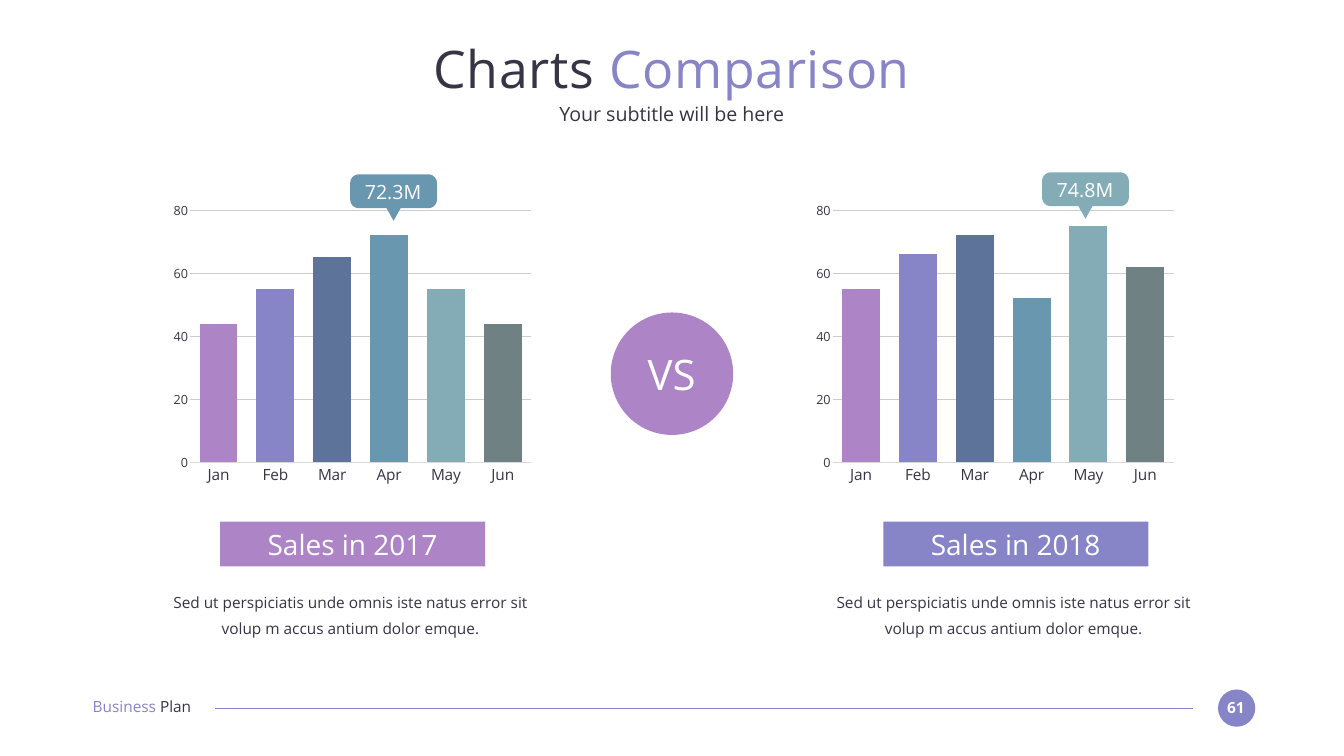
import math
from dataclasses import dataclass

import pptx
import pptx.chart.data
import pptx.dml.color
import pptx.enum.chart
import pptx.enum.shapes
import pptx.enum.text
import pptx.oxml
import pptx.oxml.ns
import pptx.util

Inches = pptx.util.Inches
Pt = pptx.util.Pt
Align = pptx.enum.text.PP_ALIGN
Shape = pptx.enum.shapes.MSO_SHAPE


@dataclass(frozen=True)
class Theme:
    font: str = "Open Sans"
    dark: str = "373545"
    white: str = "FFFFFF"
    grid: str = "CCCCCC"
    axis: str = "D9D9D9"
    bars: tuple = ("AD84C6", "8784C7", "5D739A", "6997AF", "84ACB6", "6F8183")
    title: int = 74
    versus: int = 60
    banner: int = 40
    lead: int = 28
    body: int = 22
    small: int = 18


THEME = Theme()
MAUVE, VIOLET = THEME.bars[:2]
MONTHS = ("Jan", "Feb", "Mar", "Apr", "May", "Jun")
BLURB = ("Sed ut perspiciatis unde omnis iste natus error sit "
         "volup m accus antium dolor emque.")


def rgb(value):
    return pptx.dml.color.RGBColor.from_string(value)


def style_font(font, size, color=THEME.dark, bold=False):
    font.name, font.size, font.bold = THEME.font, Pt(size), bold
    font.color.rgb = rgb(color)


def add_text(s, text, box, *, size, color=THEME.dark, align=Align.CENTER,
             bold=False, line_spacing=None, tracking=None):
    """Add a text box; text is a string or a list of (string, color) runs."""
    tf = s.shapes.add_textbox(*map(Inches, box)).text_frame
    tf.word_wrap = True
    tf.margin_left = tf.margin_right = tf.margin_top = tf.margin_bottom = 0
    p = tf.paragraphs[0]
    p.alignment = align
    if line_spacing:
        p.line_spacing = line_spacing
    for part, part_color in [(text, color)] if isinstance(text, str) else text:
        r = p.add_run()
        r.text = part
        style_font(r.font, size, part_color, bold)
        if tracking:
            r.font._element.set("spc", str(tracking))


def paint(sp, color):
    sp.shadow.inherit = False
    sp.fill.solid()
    sp.fill.fore_color.rgb = rgb(color)
    sp.line.fill.background()


def add_block(s, kind, box, color):
    paint(s.shapes.add_shape(kind, *map(Inches, box)), color)


def add_rule(s, x1, x2, y, color):
    line = s.shapes.add_connector(pptx.enum.shapes.MSO_CONNECTOR.STRAIGHT,
                                  Inches(x1), Inches(y), Inches(x2), Inches(y))
    line.line.color.rgb = rgb(color)
    line.line.width = Pt(1.5)
    line._element.spPr.append(pptx.oxml.parse_xml(
        "<a:effectLst %s/>" % pptx.oxml.ns.nsdecls("a")))


def add_callout(s, text, x, y, color):
    """Rounded label with a pointer below it."""
    w, h, radius, tip = 1.72, 0.67, 0.17, 0.25

    def corner(cx, cy, start):
        angles = [math.radians(start + step) for step in range(0, 91, 10)]
        return [(cx + radius * math.cos(a), cy + radius * math.sin(a))
                for a in angles]

    left, right = x + radius, x + w - radius
    top, bottom, mid = y + radius, y + h - radius, x + w / 2
    points = corner(left, top, 180) + corner(right, top, 270)
    points += corner(right, bottom, 0)
    points += [(mid + 0.14, y + h), (mid, y + h + tip), (mid - 0.14, y + h)]
    points += corner(left, bottom, 90)
    points = [(Inches(px), Inches(py)) for px, py in points]
    builder = s.shapes.build_freeform(*points[0])
    builder.add_line_segments(points[1:], close=True)
    paint(builder.convert_to_shape(), color)
    add_text(s, text, (x + 0.13, y + 0.11, 1.44, 0.47),
             size=THEME.lead, color=THEME.white)


def fix_plot_area(chart, x, y, w, h):
    """Pin the inner plot area, in fractions of the chart."""
    plot_area = chart._chartSpace.chart.plotArea
    for old in plot_area.findall(pptx.oxml.ns.qn("c:layout")):
        plot_area.remove(old)
    sizes = "".join('<c:%s val="%s"/>' % pair
                    for pair in zip("xywh", (x, y, w, h)))
    plot_area.insert(0, pptx.oxml.parse_xml(
        '<c:layout %s><c:manualLayout><c:layoutTarget val="inner"/>'
        '<c:xMode val="edge"/><c:yMode val="edge"/>%s'
        '</c:manualLayout></c:layout>' % (pptx.oxml.ns.nsdecls("c"), sizes)))


def add_bar_chart(s, values, x):
    data = pptx.chart.data.CategoryChartData()
    data.categories = MONTHS
    data.add_series("Series 1", values)
    chart = s.shapes.add_chart(
        pptx.enum.chart.XL_CHART_TYPE.COLUMN_CLUSTERED,
        Inches(x), Inches(3.89), Inches(7.39), Inches(5.84), data).chart
    chart.has_legend = chart.has_title = False
    style_font(chart.font, THEME.body)

    # Axes
    cat, val = chart.category_axis, chart.value_axis
    for axis, size in ((cat, THEME.body), (val, THEME.small)):
        axis.major_tick_mark = pptx.enum.chart.XL_TICK_MARK.NONE
        axis.minor_tick_mark = pptx.enum.chart.XL_TICK_MARK.NONE
        style_font(axis.tick_labels.font, size)
    cat.format.line.color.rgb = rgb(THEME.axis)
    cat.format.line.width = Pt(0.75)
    val.format.line.fill.background()
    val.minimum_scale, val.maximum_scale, val.major_unit = 0, 80, 20
    val.major_gridlines.format.line.color.rgb = rgb(THEME.grid)
    val.major_gridlines.format.line.width = Pt(1)

    # Bars, one color per month
    plot = chart.plots[0]
    plot.gap_width = 50
    plot.vary_by_categories = False
    for i, color in enumerate(THEME.bars):
        fill = plot.series[0].points[i].format.fill
        fill.solid()
        fill.fore_color.rgb = rgb(color)
    fix_plot_area(chart, 0.064, 0.048, 0.916, 0.856)


def add_year(s, year, values, chart_x, center, color):
    """Chart, banner and description of one year."""
    add_bar_chart(s, values, chart_x)
    add_block(s, Shape.RECTANGLE, (center - 2.63, 10.35, 5.26, 0.89), color)
    add_text(s, f"Sales in {year}", (center - 1.9, 10.46, 3.79, 0.67),
             size=THEME.banner, color=THEME.white)
    add_text(s, BLURB, (center - 3.85, 11.63, 7.61, 1.04),
             size=THEME.body, line_spacing=1.4)


def add_footer(s):
    add_block(s, Shape.OVAL, (24.17, 13.68, 0.74, 0.74), VIOLET)
    add_text(s, "61", (24.23, 13.85, 0.59, 0.37),
             size=THEME.body, color=THEME.white, bold=True)
    add_rule(s, 4.27, 23.67, 14.05, VIOLET)
    add_text(s, [("Business ", VIOLET), ("Plan", THEME.dark)],
             (1.84, 13.84, 2.59, 0.37), size=THEME.body, align=Align.LEFT)


def main():
    prs = pptx.Presentation()
    prs.slide_width, prs.slide_height = Inches(26.67), Inches(15)
    s = prs.slides.add_slide(prs.slide_layouts[6])
    add_footer(s)

    # Heading
    add_text(s, [("Charts ", THEME.dark), ("Comparison", VIOLET)],
             (1.83, 0.73, 23, 1.27), size=THEME.title, tracking=100)
    add_text(s, "Your subtitle will be here", (1.83, 2.03, 23, 0.49),
             size=THEME.lead)

    # Versus badge
    add_block(s, Shape.OVAL, (12.12, 6.2, 2.43, 2.43), MAUVE)
    add_text(s, "VS", (12.61, 6.91, 1.44, 1.01),
             size=THEME.versus, color=THEME.white)

    # The two years, each with its peak month called out
    add_year(s, 2017, (44, 55, 65, 72, 55, 44), 3.3, 7, MAUVE)
    add_callout(s, "72.3M", 6.95, 3.46, THEME.bars[3])
    add_year(s, 2018, (55, 66, 72, 52, 75, 62), 16.05, 20.16, VIOLET)
    add_callout(s, "74.8M", 20.68, 3.42, THEME.bars[4])
    prs.save("out.pptx")


if __name__ == "__main__":
    main()
